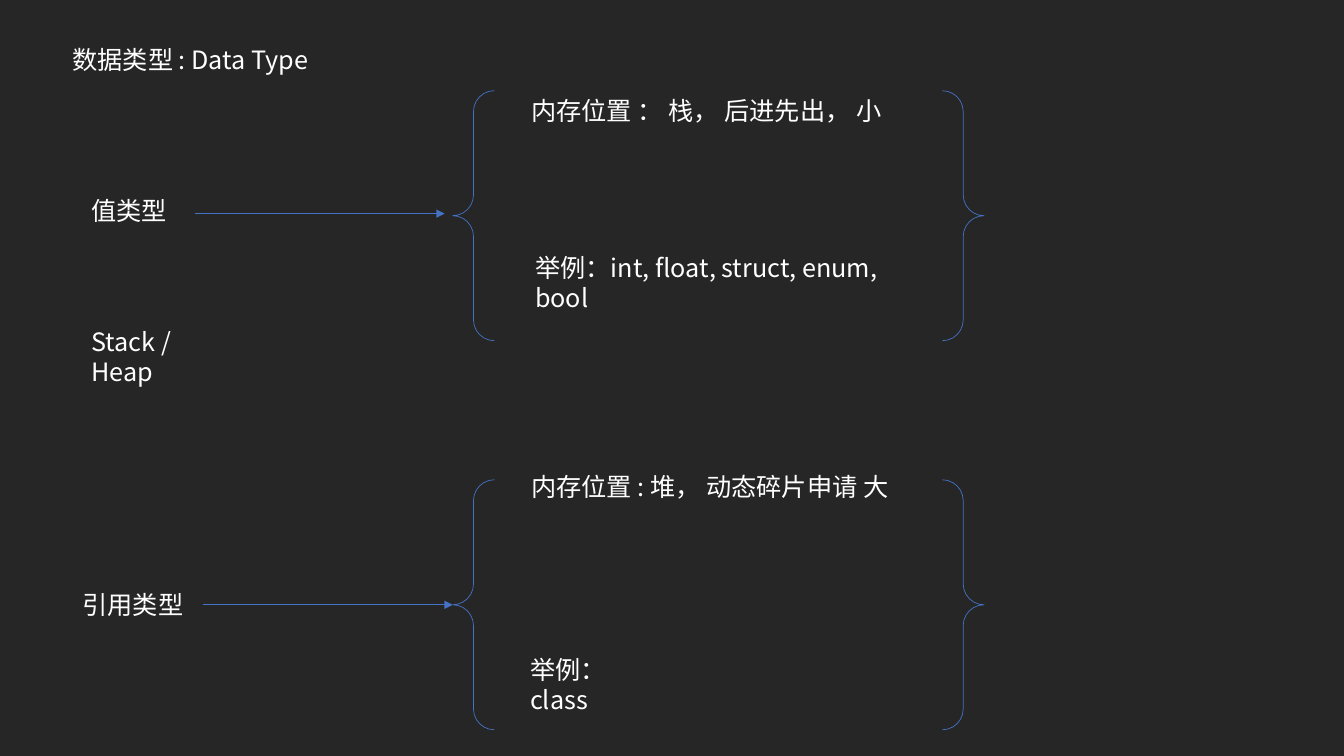
from dataclasses import dataclass

from lxml.etree import SubElement
from pptx import Presentation
from pptx.dml.color import RGBColor
from pptx.enum.shapes import MSO_CONNECTOR as Connector, MSO_SHAPE as Shape
from pptx.enum.text import MSO_AUTO_SIZE as AutoSize
from pptx.oxml.ns import qn
from pptx.util import Inches, Pt


@dataclass(frozen=True)
class Theme:
    """Colours, type and line weight of the slide."""
    background: str = "262626"
    ink: str = "FFFFFF"
    accent: str = "4472C4"
    font: str = "Noto Sans CJK SC"
    size: float = 18
    stroke: float = 0.5


THEME = Theme()
CELL = Inches(0.1)
TEXT_ROWS = 4
BRACE_COL, BRACE_COLS, BRACE_ROWS = 44.9, 52.7, 24.8
ARROW_COLS = 24.8


def cells(*counts):
    """Turn counts of grid cells into lengths."""
    return [round(count * CELL) for count in counts]


def style_line(line):
    """Give a line the accent colour and weight."""
    line.color.rgb = RGBColor.from_string(THEME.accent)
    line.width = Pt(THEME.stroke)


def add_text(slide, text, col, row, cols, size=THEME.size, color=THEME.ink):
    """Write text in a wrapping box at a grid position."""
    box = slide.shapes.add_textbox(*cells(col, row, cols, TEXT_ROWS))
    frame = box.text_frame
    frame.word_wrap = True
    frame.auto_size = AutoSize.SHAPE_TO_FIT_TEXT
    run = frame.paragraphs[0].add_run()
    run.text = text
    run.font.size = Pt(size)
    run.font.name = THEME.font
    run.font.color.rgb = RGBColor.from_string(color)
    SubElement(run.font._element, qn("a:ea"), typeface=THEME.font)


def add_arrow(slide, col, row):
    """Draw a horizontal arrow pointing right."""
    arrow = slide.shapes.add_connector(
        Connector.STRAIGHT, *cells(col, row, col + ARROW_COLS, row))
    style_line(arrow.line)
    SubElement(arrow.line._get_or_add_ln(), qn("a:tailEnd"), type="triangle")
    SubElement(arrow._element.spPr, qn("a:effectLst"))


def add_braces(slide, row):
    """Draw a pair of braces around the details of a type."""
    braces = slide.shapes.add_shape(
        Shape.DOUBLE_BRACE, *cells(BRACE_COL, row, BRACE_COLS, BRACE_ROWS))
    braces.fill.background()
    braces.shadow.inherit = False
    style_line(braces.line)


def add_category(slide, row, arrow, label, memory, example):
    """Draw one data type with its arrow, braces and details."""
    add_arrow(slide, *arrow)
    add_braces(slide, row)
    for text in (label, memory, example):
        add_text(slide, *text)


def main():
    """Build the data type slide and save it."""
    deck = Presentation()
    deck.slide_width, deck.slide_height = Inches(13.33), Inches(7.5)
    slide = deck.slides.add_slide(deck.slide_layouts[6])
    backdrop = slide.background.fill
    backdrop.solid()
    backdrop.fore_color.rgb = RGBColor.from_string(THEME.background)

    add_text(slide, "数据类型 : Data Type", 6.2, 3.9, 26.4)
    add_category(
        slide, row=9, arrow=(19.3, 21.2),
        label=("值类型", 8.1, 18.9, 9.7),
        memory=("内存位置 ： 栈， 后进先出， 小", 51.7, 9, 37.6),
        example=("举例：int, float, struct, enum, bool", 52.1, 24.5, 39.3))
    add_category(
        slide, row=47.6, arrow=(20.1, 60),
        label=("引用类型", 7.2, 58, 12.2),
        memory=("内存位置 : 堆， 动态碎片申请 大", 51.7, 46.3, 38.3),
        example=("举例：class", 51.6, 64.4, 14.6))
    add_text(slide, "Stack / Heap", 8.1, 31.9, 15.8)
    deck.save("out.pptx")


main()
